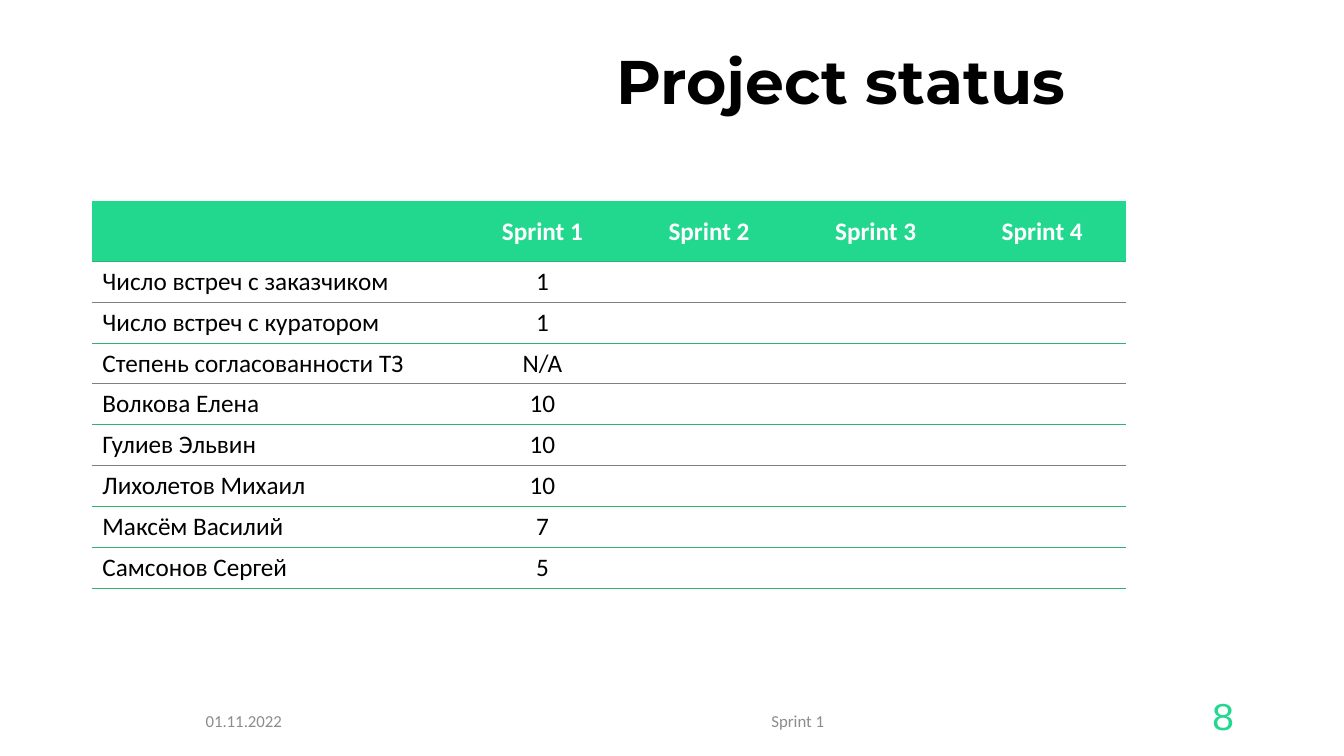
"""Build the project status slide with its sprint table and footer."""
from dataclasses import dataclass

from lxml.etree import SubElement
from pptx import Presentation
from pptx.dml.color import RGBColor
from pptx.enum.text import MSO_ANCHOR, MSO_AUTO_SIZE, PP_ALIGN
from pptx.oxml.ns import qn
from pptx.util import Pt


@dataclass(frozen=True)
class Theme:
    """Colours, fonts and type sizes of the slide."""
    ink: str = "000000"
    paper: str = "FFFFFF"
    accent: str = "22D88F"
    rule: str = "29B56C"
    soft_rule: str = "7F7F7F"
    muted: str = "8C8C8C"
    heading_font: str = "Montserrat"
    body_font: str = "Calibri"
    number_font: str = "Courier New"
    title_size: int = 44
    table_size: int = 18
    footer_size: int = 12
    number_size: int = 28


THEME = Theme()
SPRINTS = ["Sprint 1", "Sprint 2", "Sprint 3", "Sprint 4"]
STATUS = [
    ("Число встреч с заказчиком", "1"),
    ("Число встреч с куратором", "1"),
    ("Степень согласованности ТЗ", "N/A"),
    ("Волкова Елена", "10"),
    ("Гулиев Эльвин", "10"),
    ("Лихолетов Михаил", "10"),
    ("Максём Василий", "7"),
    ("Самсонов Сергей", "5"),
]


def style_paragraph(paragraph, font_name, size, color, bold=False, alignment=PP_ALIGN.LEFT):
    """Set the font and alignment of a paragraph."""
    paragraph.alignment = alignment
    paragraph.font.name = font_name
    paragraph.font.size = Pt(size)
    paragraph.font.bold = bold
    paragraph.font.color.rgb = RGBColor.from_string(color)


def set_borders(cell, top, bottom):
    """Draw the top and bottom rules of a cell and hide its sides."""
    properties = cell._tc.get_or_add_tcPr()
    for tag, rule in (("a:lnL", None), ("a:lnR", None), ("a:lnT", top), ("a:lnB", bottom)):
        color, width = rule or (None, 0)
        line = SubElement(properties, qn(tag), w=str(int(Pt(width))))
        if color:
            fill = SubElement(line, qn("a:solidFill"))
            SubElement(fill, qn("a:srgbClr"), val=color)
        else:
            SubElement(line, qn("a:noFill"))


def rule_below(row_index):
    """Return the colour and width of the rule under a table row."""
    if row_index in (0, len(STATUS) - 1, len(STATUS)):
        return THEME.rule, 1
    return (THEME.soft_rule if row_index % 2 else THEME.rule), 0.75


def add_title(slide, left, top, width, height):
    """Place the slide title in its placeholder."""
    title = slide.shapes.title
    title.left, title.top, title.width, title.height = map(Pt, (left, top, width, height))
    frame = title.text_frame
    frame.text = "Project status"
    frame.auto_size = MSO_AUTO_SIZE.NONE
    frame.vertical_anchor = MSO_ANCHOR.MIDDLE
    paragraph = frame.paragraphs[0]
    paragraph.line_spacing = 0.9
    style_paragraph(paragraph, THEME.heading_font, THEME.title_size, THEME.ink, True, PP_ALIGN.RIGHT)


def add_status_table(slide, left, top, width, height):
    """Place the sprint table with a tall header and equal rows."""
    label_width, header_height = 262, 42.6
    rows = [["", *SPRINTS]]
    rows += [[label, value] + [""] * (len(SPRINTS) - 1) for label, value in STATUS]
    table = slide.shapes.add_table(
        len(rows), len(rows[0]), Pt(left), Pt(top), Pt(width), Pt(height)).table
    table.first_row = table.horz_banding = False
    for index, column in enumerate(table.columns):
        column.width = Pt((width - label_width) / len(SPRINTS) if index else label_width)
    for row_index, texts in enumerate(rows):
        header = row_index == 0
        table.rows[row_index].height = Pt(
            header_height if header else (height - header_height) / len(STATUS))
        top_rule = (THEME.accent, 1) if header else rule_below(row_index - 1)
        for column_index, text in enumerate(texts):
            cell = table.cell(row_index, column_index)
            cell.text = text
            cell.vertical_anchor = MSO_ANCHOR.MIDDLE
            set_borders(cell, top_rule, rule_below(row_index))
            if header:
                cell.fill.solid()
                cell.fill.fore_color.rgb = RGBColor.from_string(THEME.accent)
            else:
                cell.fill.background()
            style_paragraph(
                cell.text_frame.paragraphs[0], THEME.body_font, THEME.table_size,
                THEME.paper if header else THEME.ink, header,
                PP_ALIGN.CENTER if column_index else PP_ALIGN.LEFT)


def add_label(slide, text, left, top, width, height, **style):
    """Place one line of vertically centred text."""
    frame = slide.shapes.add_textbox(Pt(left), Pt(top), Pt(width), Pt(height)).text_frame
    frame.word_wrap = True
    frame.vertical_anchor = MSO_ANCHOR.MIDDLE
    frame.text = text
    style_paragraph(frame.paragraphs[0], **style)


def add_footer(slide, left, top, width, height):
    """Place the date, sprint name and slide number along the bottom."""
    small = dict(font_name=THEME.body_font, size=THEME.footer_size,
                 color=THEME.muted, alignment=PP_ALIGN.CENTER)
    number_width, small_height = 93.6, 28.8
    small_top = top + height - small_height
    add_label(slide, "01.11.2022", left, small_top, 216, small_height, **small)
    add_label(slide, "Sprint 1", left + 252, small_top, 503.3, small_height, **small)
    add_label(slide, "8", left + width - number_width, top, number_width, height,
              font_name=THEME.number_font, size=THEME.number_size, color=THEME.accent)


def build_status_slide(presentation):
    """Add the project status slide."""
    slide = presentation.slides.add_slide(presentation.slide_layouts[5])
    add_title(slide, 265, 19.4, 503.3, 81.4)
    add_status_table(slide, 66, 144, 738, 276.2)
    add_footer(slide, 66.2, 491.8, 885.6, 37.4)


def main():
    """Create and save the presentation."""
    presentation = Presentation()
    presentation.slide_width, presentation.slide_height = Pt(960), Pt(540)
    build_status_slide(presentation)
    presentation.save("out.pptx")


main()
